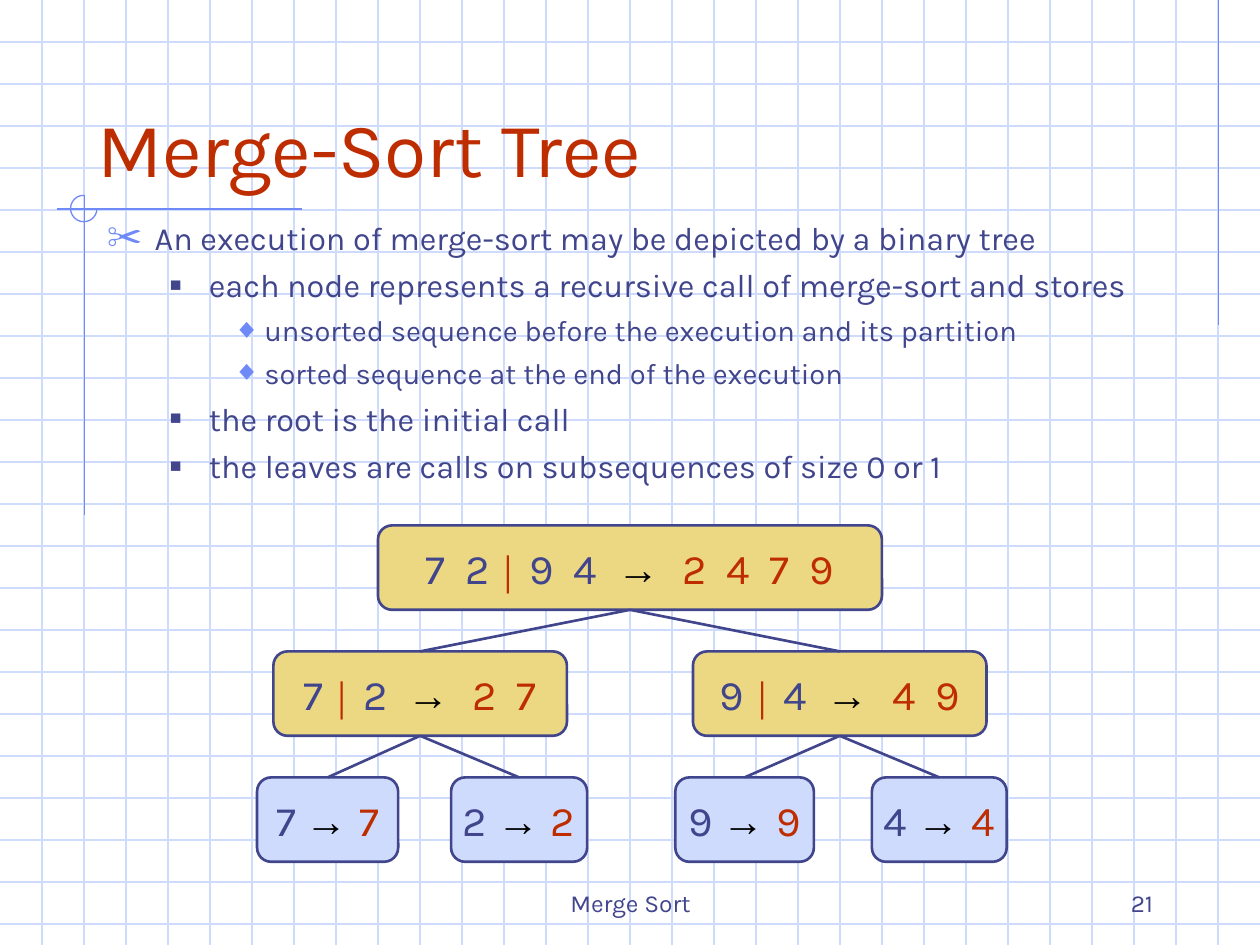
"""Build the Merge-Sort Tree slide."""
from dataclasses import dataclass

from lxml.etree import SubElement
from pptx import Presentation
from pptx.dml.color import RGBColor
from pptx.enum.shapes import MSO_CONNECTOR as Connector, MSO_SHAPE as Shape
from pptx.enum.text import MSO_ANCHOR as Anchor, PP_ALIGN as Align
from pptx.oxml.ns import qn
from pptx.util import Inches, Pt


@dataclass(frozen=True)
class Theme:
    """Colours, fonts and type sizes of the slide."""
    ink: str = "40458C"
    accent: str = "BE2D00"
    arrow: str = "000000"
    grid: str = "CFDBFD"
    rule: str = "6F89F7"
    branch: str = "ECD882"
    leaf: str = "CFDBFD"
    font: str = "Karla"
    symbol_font: str = "Arial"
    title_size: float = 44
    node_size: float = 24
    bar_size: float = 18
    footer_size: float = 14


THEME = Theme()

LEVELS = (
    dict(margin=0.38, hang=0.38, char="✂", color=THEME.rule, percent=110, size=18.5, before=5),
    dict(margin=0.81, hang=0.31, char="■", color=THEME.ink, percent=60, size=18.5, before=5),
    dict(margin=1.25, hang=0.25, char="◆", color=THEME.rule, percent=95, size=16.6, before=4.5),
)
OUTLINE = (
    (0, "An execution of merge-sort may be depicted by a binary tree"),
    (1, "each node represents a recursive call of merge-sort and stores"),
    (2, "unsorted sequence before the execution and its partition"),
    (2, "sorted sequence at the end of the execution"),
    (1, "the root is the initial call"),
    (1, "the leaves are calls on subsequences of size 0 or 1"),
)
ROOT = (3, 4, "7  2 │ 9  4", "2  4  7  9", (
    (2.17, 2.33, "7 │ 2", "2  7", (
        (2.04, 1.12, "7", "7", ()),
        (3.58, 1.08, "2", "2", ()))),
    (5.5, 2.33, "9 │ 4", "4  9", (
        (5.36, 1.1, "9", "9", ()),
        (6.92, 1.07, "4", "4", ()))),
))


def color_of(value):
    """Turn a hex string into a colour."""
    return RGBColor.from_string(value)


def add_run(paragraph, text, size=THEME.node_size, color=THEME.ink, font=THEME.font, bold=False):
    """Append formatted text to a paragraph."""
    run = paragraph.add_run()
    run.text = text
    run.font.size, run.font.name, run.font.bold = Pt(size), font, bold
    run.font.color.rgb = color_of(color)


def add_line(slide, start, end, color=THEME.grid, width=0.75):
    """Draw a straight line without a shadow."""
    line = slide.shapes.add_connector(Connector.STRAIGHT, *map(Inches, start + end))
    line.line.color.rgb = color_of(color)
    line.line.width = Pt(width)
    SubElement(line._element.spPr, qn("a:effectLst"))
    return line


def add_text_box(slide, left, top, width, height, anchor=Anchor.TOP):
    """Add a wrapping text box and return its frame."""
    frame = slide.shapes.add_textbox(*map(Inches, (left, top, width, height))).text_frame
    frame.word_wrap = True
    frame.vertical_anchor = anchor
    return frame


def add_background(slide):
    """Draw the squared paper with its margin rules and ring."""
    for step in range(1, 23):
        add_line(slide, (0, step / 3), (10, step / 3))
    for step in range(1, 30):
        add_line(slide, (step / 3, 0), (step / 3, 7.5))
    for start, end in (((9.67, 0), (9.67, 2.58)), ((0.45, 1.66), (2.4, 1.66)),
                       ((0.67, 1.55), (0.67, 4.09))):
        add_line(slide, start, end, color=THEME.rule)
    ring = slide.shapes.add_shape(Shape.ARC, *map(Inches, (0.56, 1.55, 0.21, 0.21)))
    ring.adjustments[0], ring.adjustments[1] = 0, 162
    ring.fill.background()
    ring.line.color.rgb = color_of(THEME.rule)
    ring.line.width = Pt(0.75)
    ring.shadow.inherit = False


def add_title(slide, text):
    """Place the title above the background."""
    title = slide.shapes.title
    slide.shapes._spTree.append(title._element)
    title.left, title.top, title.width, title.height = map(Inches, (0.67, 0.33, 8.5, 1.25))
    title.text_frame.vertical_anchor = Anchor.BOTTOM
    paragraph = title.text_frame.paragraphs[0]
    paragraph.alignment = Align.LEFT
    add_run(paragraph, text, size=THEME.title_size, color=THEME.accent)


def set_bullet(paragraph, margin, hang, char, color, percent):
    """Give a paragraph a hanging bullet."""
    properties = paragraph._p.get_or_add_pPr()
    properties.set("marL", str(Inches(margin)))
    properties.set("indent", str(-Inches(hang)))
    SubElement(SubElement(properties, qn("a:buClr")), qn("a:srgbClr"), val=color)
    SubElement(properties, qn("a:buSzPct"), val=str(percent * 1000))
    SubElement(properties, qn("a:buFont"), typeface=THEME.symbol_font)
    SubElement(properties, qn("a:buChar"), char=char)


def add_outline(slide):
    """Write the bulleted outline."""
    frame = add_text_box(slide, 0.75, 1.68, 8.83, 2.41)
    for index, (level, text) in enumerate(OUTLINE):
        paragraph = frame.add_paragraph() if index else frame.paragraphs[0]
        style = dict(LEVELS[level])
        paragraph.level = level
        paragraph.space_before = Pt(style.pop("before"))
        add_run(paragraph, text, size=style.pop("size"))
        set_bullet(paragraph, **style)


def add_node(slide, node, top=4.17):
    """Draw a call with its sub-calls below and return its box."""
    left, width, before, after, children = node
    box = slide.shapes.add_shape(Shape.ROUNDED_RECTANGLE, *map(Inches, (left, top, width, 0.67)))
    box.adjustments[0] = 0.167
    box.shadow.inherit = False
    box.fill.solid()
    box.fill.fore_color.rgb = color_of(THEME.branch if children else THEME.leaf)
    box.line.color.rgb = color_of(THEME.ink)
    box.line.width = Pt(1.5)
    box.text_frame.word_wrap = False
    box.text_frame.vertical_anchor = Anchor.MIDDLE
    paragraph = box.text_frame.paragraphs[0]
    paragraph.alignment = Align.CENTER
    gap = "  " if children else " "
    first, bar, second = before.partition("│")
    add_run(paragraph, first if bar else first + gap)
    if bar:
        add_run(paragraph, bar, size=THEME.bar_size, color=THEME.accent,
                font=THEME.symbol_font, bold=True)
        add_run(paragraph, second + gap)
    add_run(paragraph, "→" + gap, color=THEME.arrow, font=THEME.symbol_font, bold=True)
    add_run(paragraph, after, color=THEME.accent)
    for child in children:
        child_box = add_node(slide, child, top + 1)
        edge = add_line(slide, (0, 0), (1, 1), color=THEME.ink, width=1.5)
        edge.begin_connect(box, 2)
        edge.end_connect(child_box, 0)
    return box


def add_footer(slide, text, left, width, alignment):
    """Write one footer entry."""
    paragraph = add_text_box(slide, left, 6.83, width, 0.5, Anchor.BOTTOM).paragraphs[0]
    paragraph.alignment = alignment
    add_run(paragraph, text, size=THEME.footer_size)


def main():
    """Build and save the slide."""
    presentation = Presentation()
    presentation.slide_width, presentation.slide_height = Inches(10), Inches(7.5)
    slide = presentation.slides.add_slide(presentation.slide_layouts[5])
    add_background(slide)
    add_footer(slide, "Merge Sort", 3.42, 3.17, Align.CENTER)
    add_footer(slide, "21", 7.17, 2.08, Align.RIGHT)
    add_title(slide, "Merge-Sort Tree")
    add_outline(slide)
    add_node(slide, ROOT)
    presentation.save("out.pptx")


if __name__ == "__main__":
    main()
